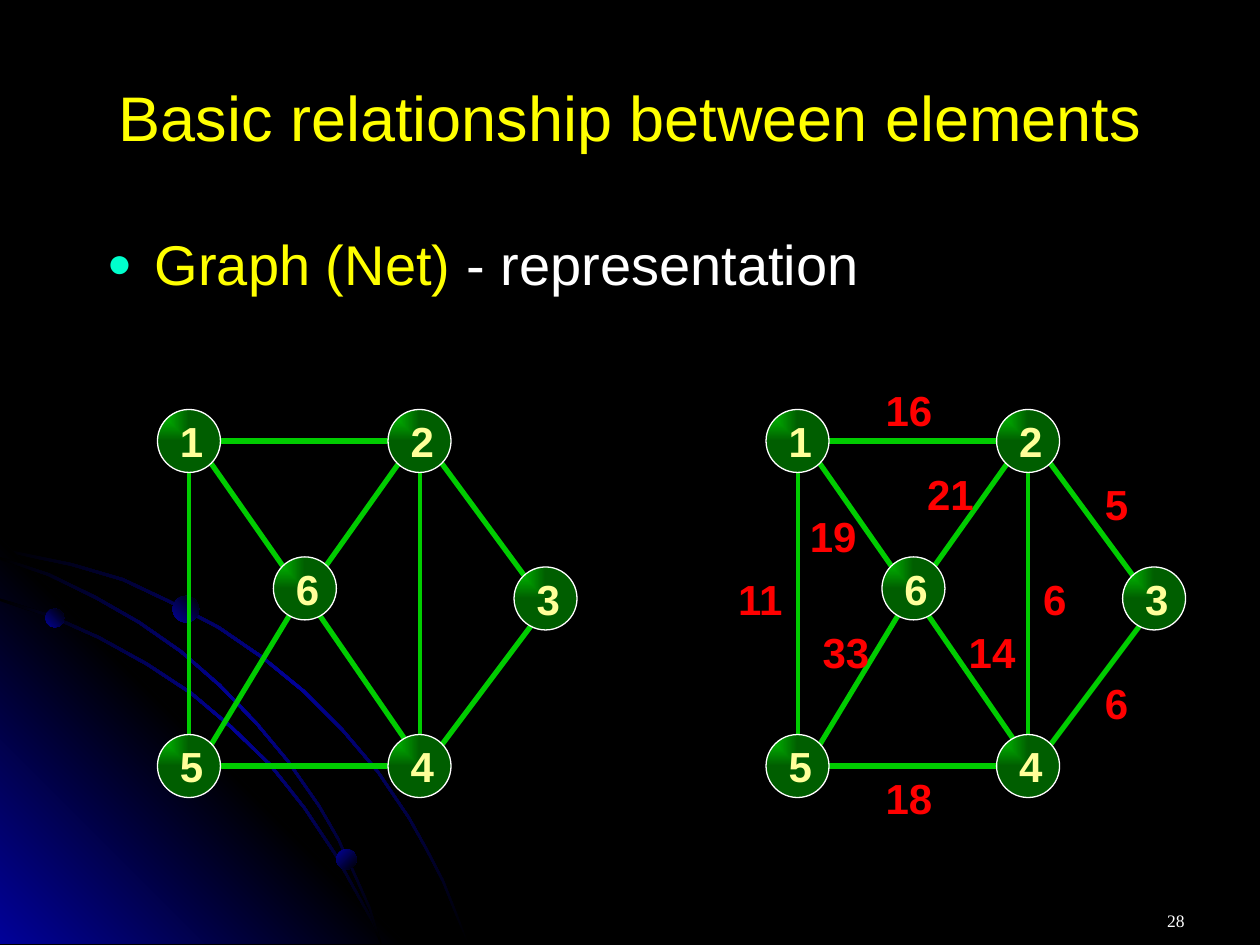
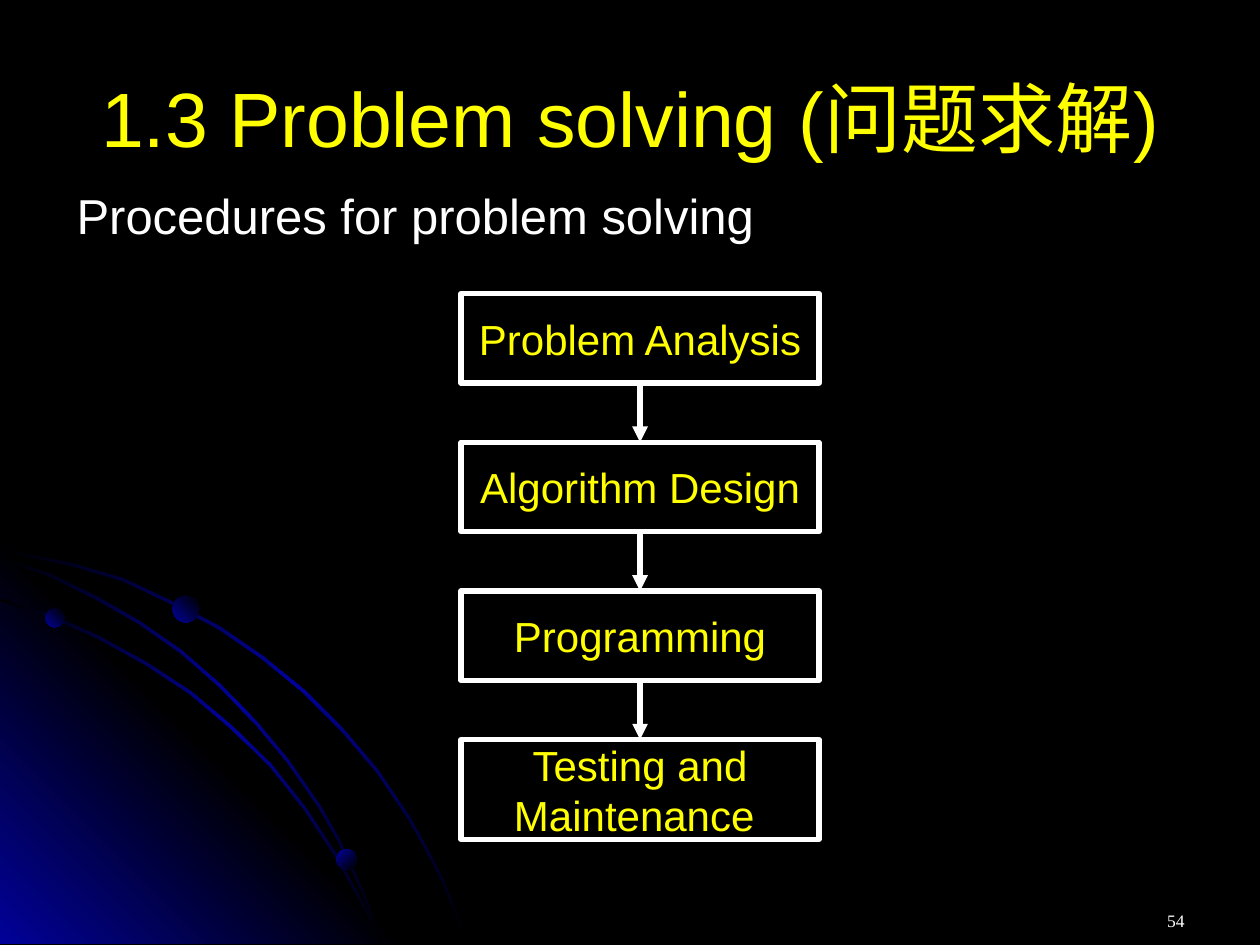
from lxml.etree import SubElement
from pptx import Presentation
from pptx.dml.color import RGBColor
from pptx.enum.shapes import MSO_CONNECTOR, MSO_SHAPE
from pptx.enum.text import MSO_ANCHOR, PP_ALIGN
from pptx.oxml.ns import qn
from pptx.util import Pt

PX = 9144  # EMU per px, 100 px to the inch
COLOURS = {
    "black": "000000", "white": "FFFFFF", "yellow": "FFFF00", "navy": "010199",
    "edge": "00CC00", "node": "005E00", "digit": "FFFF99", "weight": "FF0000",
    "bullet": "00FFCC",
}
RGB = {name: RGBColor.from_string(value) for name, value in COLOURS.items()}


def write(shape, text, size, colour, align=PP_ALIGN.LEFT, anchor=MSO_ANCHOR.TOP,
          font="Arial", bold=False, wrap=True):
    text_frame = shape.text_frame
    text_frame.text = text
    text_frame.word_wrap = wrap
    text_frame.vertical_anchor = anchor
    for paragraph in text_frame.paragraphs:
        paragraph.alignment = align
        for run in paragraph.runs:
            run.font.name = font
            run.font.size = Pt(size)
            run.font.bold = bold
            run.font.color.rgb = RGB[colour]


def fill_gradient(shape, colours, angle=None):
    """Spread the colours evenly, along a clockwise angle or from the top left corner."""
    shape.shadow.inherit = False
    shape.fill.gradient()
    gradient = shape._element.spPr.find(qn("a:gradFill"))
    gradient.clear()
    stops = SubElement(gradient, qn("a:gsLst"))
    for index, colour in enumerate(colours):
        position = 100000 * index // (len(colours) - 1)
        stop = SubElement(stops, qn("a:gs"), pos=str(position))
        SubElement(stop, qn("a:srgbClr"), val=COLOURS[colour])
    if angle is None:
        corner = SubElement(gradient, qn("a:path"), path="rect")
        SubElement(corner, qn("a:fillToRect"), l="0", t="0", r="100000", b="100000")
    else:
        SubElement(gradient, qn("a:lin"), ang=str(angle * 60000), scaled="1")


presentation = Presentation()
presentation.slide_width = 1000 * PX
presentation.slide_height = 750 * PX

# Shared background, title and slide number
ARCS = [
    [(0, 435), (28, 441), (57, 447), (98, 459), (136, 477), (174, 497), (209, 521),
     (242, 548), (272, 578), (300, 611), (325, 648), (339, 673), (352, 698),
     (362, 723), (372, 749)],
    [(0, 475), (41, 488), (79, 505), (117, 526), (152, 549), (184, 576), (215, 606),
     (242, 640), (266, 676), (286, 712), (296, 730), (303, 749)],
    [(0, 442), (39, 455), (76, 473), (111, 493), (144, 516), (175, 543), (204, 573),
     (229, 603), (254, 639), (269, 665), (282, 693), (294, 720), (303, 749)],
]
ribbons = []
for arc in ARCS:
    inner = [(max(x - 1, 0), min(y + 2, 749)) for x, y in reversed(arc)]
    ribbons.append((arc + inner, ["black", "navy", "black"], 45))
corner_glow = ([(322, 749), (0, 749), (0, 427)], ["navy", "black", "navy"], 315)
outlines = [ribbons[0], corner_glow, *ribbons[1:]]
PLANETS = [(36, 483, 15, 315), (267, 674, 16, 45), (137, 473, 21, 315)]
HEADINGS = [
    ("Basic relationship between elements", 36, "28"),
    ("1.3 Problem solving (问题求解)", 44, "54"),
]

slides = []
for title, title_size, number in HEADINGS:
    slide = presentation.slides.add_slide(presentation.slide_layouts[6])
    slides.append(slide)
    slide.background.fill.solid()
    slide.background.fill.fore_color.rgb = RGB["black"]
    for points, colours, angle in outlines:
        builder = slide.shapes.build_freeform(*points[0], scale=PX)
        builder.add_line_segments(points[1:], close=True)
        shape = builder.convert_to_shape()
        fill_gradient(shape, colours, angle)
        shape.line.fill.background()
    for x, y, diameter, angle in PLANETS:
        shape = slide.shapes.add_shape(
            MSO_SHAPE.OVAL, x * PX, y * PX, diameter * PX, diameter * PX)
        fill_gradient(shape, ["navy", "black"], angle)
        shape.line.fill.background()
    shape = slide.shapes.add_textbox(50 * PX, 30 * PX, 900 * PX, 125 * PX)
    write(shape, title, title_size, "yellow", PP_ALIGN.CENTER, MSO_ANCHOR.MIDDLE)
    shape = slide.shapes.add_textbox(717 * PX, 717 * PX, 233 * PX, 33 * PX)
    write(shape, number, 10, "white", PP_ALIGN.RIGHT, font="Times New Roman")
graph_slide, steps_slide = slides

# Graph: places are relative to the top left of node 1
GRAPHS = [(125, 325, False), (608, 325, True)]  # left, top, weighted
NODES = {"1": (0, 0), "2": (183, 0), "3": (283, 125),
         "4": (183, 258), "5": (0, 258), "6": (92, 117)}
EDGES = [  # from, to, weight, place of weight
    ((192, 42), (133, 125), "21", (118, 42)),
    ((300, 167), (225, 267), "6", (259, 208)),
    ((108, 158), (42, 267), "33", (35, 167)),
    ((125, 158), (200, 267), "14", (151, 167)),
    ((25, 50), (25, 258), "11", (-32, 125)),
    ((50, 283), (183, 283), "18", (85, 283)),
    ((50, 25), (183, 25), "16", (85, -25)),
    ((225, 42), (292, 133), "5", (259, 50)),
    ((42, 42), (100, 125), "19", (25, 75)),
    ((208, 50), (208, 258), "6", (210, 125)),
]
# Steps: a column of boxes
STEPS = ["Problem Analysis", "Algorithm Design", "Programming",
         "Testing and\nMaintenance "]
STEP_LEFT, STEP_TOP, STEP_WIDTH, STEP_HEIGHT, STEP_PITCH = 366, 233, 284, 71, 118

# Lines of both slides, below nodes and boxes
lines = []
for left, top, weighted in GRAPHS:
    for (x1, y1), (x2, y2), weight, place in EDGES:
        width = 2.25 if x1 == x2 else 3
        lines.append((graph_slide, left + x1, top + y1, left + x2, top + y2,
                      "edge", width, False))
for index in range(len(STEPS) - 1):
    middle = STEP_LEFT + STEP_WIDTH // 2
    top = STEP_TOP + index * STEP_PITCH
    lines.append((steps_slide, middle, top + STEP_HEIGHT, middle, top + STEP_PITCH,
                  "white", 3, True))
for slide, x1, y1, x2, y2, colour, width, arrow in lines:
    connector = slide.shapes.add_connector(
        MSO_CONNECTOR.STRAIGHT, x1 * PX, y1 * PX, x2 * PX, y2 * PX)
    connector.line.color.rgb = RGB[colour]
    connector.line.width = Pt(width)
    if arrow:
        SubElement(connector.line._get_or_add_ln(), qn("a:tailEnd"), type="triangle")
    SubElement(connector._element.spPr, qn("a:effectLst"))

# Slide 1: bullet, nodes and labels
shape = graph_slide.shapes.add_textbox(75 * PX, 177 * PX, 819 * PX, 80 * PX)
write(shape, "Graph (Net) ", 32, "yellow")
paragraph = shape.text_frame.paragraphs[0]
properties = paragraph._p.get_or_add_pPr()
properties.set("marL", str(38 * PX))
properties.set("indent", str(-38 * PX))
bullet_colour = SubElement(properties, qn("a:buClr"))
SubElement(bullet_colour, qn("a:srgbClr"), val=COLOURS["bullet"])
SubElement(properties, qn("a:buSzPct"), val="75000")
SubElement(properties, qn("a:buFont"), typeface="Arial")
SubElement(properties, qn("a:buChar"), char="●")
run = paragraph.add_run()
run.text = "- representation"
run.font.name = "Arial"
run.font.size = Pt(32)
run.font.color.rgb = RGB["white"]

for left, top, weighted in GRAPHS:
    labels = []
    for name, (x, y) in NODES.items():
        shape = graph_slide.shapes.add_shape(
            MSO_SHAPE.OVAL, (left + x) * PX, (top + y) * PX, 50 * PX, 50 * PX)
        fill_gradient(shape, ["edge", "node"])
        shape.line.color.rgb = RGB["white"]
        shape.line.width = Pt(0.75)
        labels.append((name, x + 8, y, "digit"))
    if weighted:
        labels += [(weight, x, y, "weight") for start, end, weight, (x, y) in EDGES]
    for text, x, y, colour in labels:
        shape = graph_slide.shapes.add_textbox(
            (left + x) * PX, (top + y) * PX, (21 + 18 * len(text)) * PX, 50 * PX)
        write(shape, text, 24, colour, bold=True, wrap=False)

# Slide 2: subtitle and steps
shape = steps_slide.shapes.add_textbox(51 * PX, 142 * PX, 937 * PX, 57 * PX)
write(shape, "Procedures for problem solving", 28, "white")
for index, step in enumerate(STEPS):
    height = STEP_HEIGHT + 8 * step.count("\n")
    shape = steps_slide.shapes.add_shape(
        MSO_SHAPE.RECTANGLE, STEP_LEFT * PX, (STEP_TOP + index * STEP_PITCH) * PX,
        STEP_WIDTH * PX, height * PX)
    shape.shadow.inherit = False
    shape.fill.background()
    shape.line.color.rgb = RGB["white"]
    shape.line.width = Pt(3)
    write(shape, step, 24, "yellow", PP_ALIGN.CENTER, MSO_ANCHOR.MIDDLE, wrap=False)

presentation.save("out.pptx")
